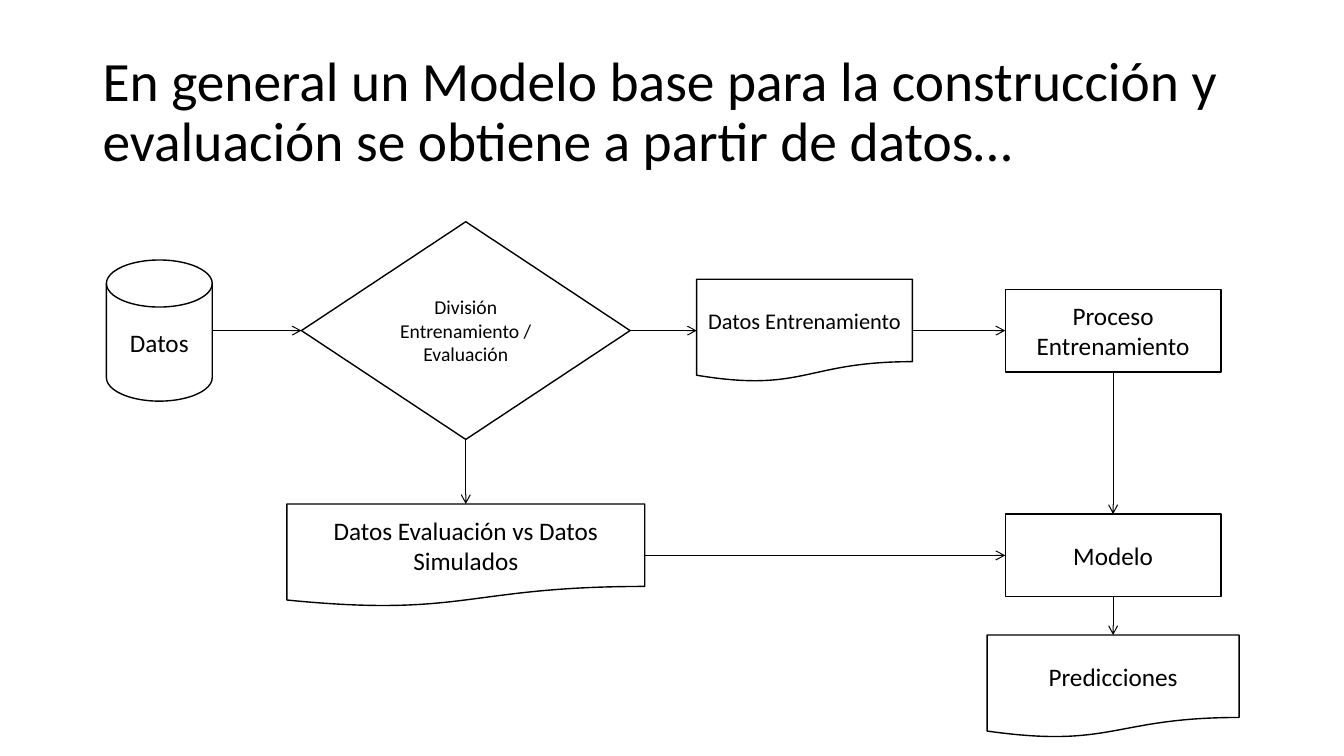
import pptx
import pptx.dml.color
import pptx.enum.shapes
import pptx.enum.text
import pptx.oxml
import pptx.oxml.ns
import pptx.util

SHAPE = pptx.enum.shapes.MSO_SHAPE
ALIGN = pptx.enum.text.PP_ALIGN
INK, PAPER = "000000", "FFFFFF"
SLIDE_SIZE = (13.33, 7.5)
TITLE_BOX = (0.92, 0.4, 11.5, 1.45)
FLOW_BOX = (1.05, 2.2, 11.25, 5.12)

COLUMNS = (0.53, 3.57, 6.93, 9.99)
ROWS = (1.08, 3.31, 4.61)
PROCESS = (SHAPE.RECTANGLE, 2.14, 0.82)

STEPS = {
    "datos": ("Datos", 0, 0, SHAPE.FLOWCHART_MAGNETIC_DISK, 1.05, 1.4, 18),
    "división": ("División Entrenamiento / Evaluación", 1, 0,
                 SHAPE.FLOWCHART_DECISION, 3.26, 2.16, 14),
    "entrenamiento": ("Datos Entrenamiento", 2, 0,
                      SHAPE.FLOWCHART_DOCUMENT, 2.14, 1.02, 16),
    "evaluación": ("Datos Evaluación vs Datos Simulados", 1, 1,
                   SHAPE.FLOWCHART_DOCUMENT, 3.55, 1.02, 18),
    "proceso": ("Proceso Entrenamiento", 3, 0, *PROCESS, 18),
    "modelo": ("Modelo", 3, 1, *PROCESS, 18),
    "predicciones": ("Predicciones", 3, 2,
                     SHAPE.FLOWCHART_DOCUMENT, 2.5, 1.02, 18),
}
FLOWS = (
    ("datos", "división"), ("división", "entrenamiento"),
    ("división", "evaluación"), ("entrenamiento", "proceso"),
    ("proceso", "modelo"), ("modelo", "predicciones"),
    ("evaluación", "modelo"),
)


def inches(*lengths):
    """Convert lengths in inches to slide units."""
    return [pptx.util.Inches(length) for length in lengths]


def color(hex_code):
    """Turn a hex string into a colour."""
    return pptx.dml.color.RGBColor.from_string(hex_code)


def write(frame, text, size, align=ALIGN.CENTER, spacing=None):
    """Put formatted, vertically centred text in a frame."""
    frame.word_wrap = True
    frame.vertical_anchor = pptx.enum.text.MSO_ANCHOR.MIDDLE
    paragraph = frame.paragraphs[0]
    paragraph.alignment = align
    paragraph.line_spacing = spacing
    run = paragraph.add_run()
    run.text = text
    run.font.name = "Calibri"
    run.font.size = pptx.util.Pt(size)
    run.font.color.rgb = color(INK)


def add_title(slide, box, text):
    """Place the slide heading in its box."""
    heading = slide.shapes.add_textbox(*inches(*box))
    write(heading.text_frame, text, 39.6, align=ALIGN.LEFT, spacing=0.9)


def add_step(slide, box, text, column, row, kind, width, height, size):
    """Draw a step centred on a grid point of the box and return it."""
    left = box[0] + COLUMNS[column] - width / 2
    top = box[1] + ROWS[row] - height / 2
    step = slide.shapes.add_shape(kind, *inches(left, top, width, height))
    step.shadow.inherit = False
    step.fill.solid()
    step.fill.fore_color.rgb = color(PAPER)
    step.line.color.rgb = color(INK)
    step.line.width = pptx.util.Pt(1)
    write(step.text_frame, text, size)
    return step


def add_arrow(slide, source, target):
    """Join two steps, across if they are side by side, otherwise down."""
    if source.left + source.width < target.left:
        y = source.top + source.height // 2
        ends = (source.left + source.width, y, target.left, y)
    else:
        x = source.left + source.width // 2
        ends = (x, source.top + source.height, x, target.top)
    arrow = slide.shapes.add_connector(
        pptx.enum.shapes.MSO_CONNECTOR.STRAIGHT, *ends)
    arrow.line.color.rgb = color(INK)
    arrow.line.width = pptx.util.Pt(0.75)
    namespace = pptx.oxml.ns.nsdecls("a")
    arrow.line._get_or_add_ln().append(
        pptx.oxml.parse_xml(f'<a:tailEnd {namespace} type="arrow"/>'))
    arrow._element.spPr.append(
        pptx.oxml.parse_xml(f"<a:effectLst {namespace}/>"))


def add_flow(slide, box):
    """Draw the flowchart of steps and arrows in its box."""
    steps = {key: add_step(slide, box, *step) for key, step in STEPS.items()}
    for source, target in FLOWS:
        add_arrow(slide, steps[source], steps[target])


def main():
    """Build and save the slide."""
    deck = pptx.Presentation()
    deck.slide_width, deck.slide_height = inches(*SLIDE_SIZE)
    slide = deck.slides.add_slide(deck.slide_layouts[6])
    add_title(slide, TITLE_BOX,
              "En general un Modelo base para la construcción y "
              "evaluación se obtiene a partir de datos…")
    add_flow(slide, FLOW_BOX)
    deck.save("out.pptx")


if __name__ == "__main__":
    main()
